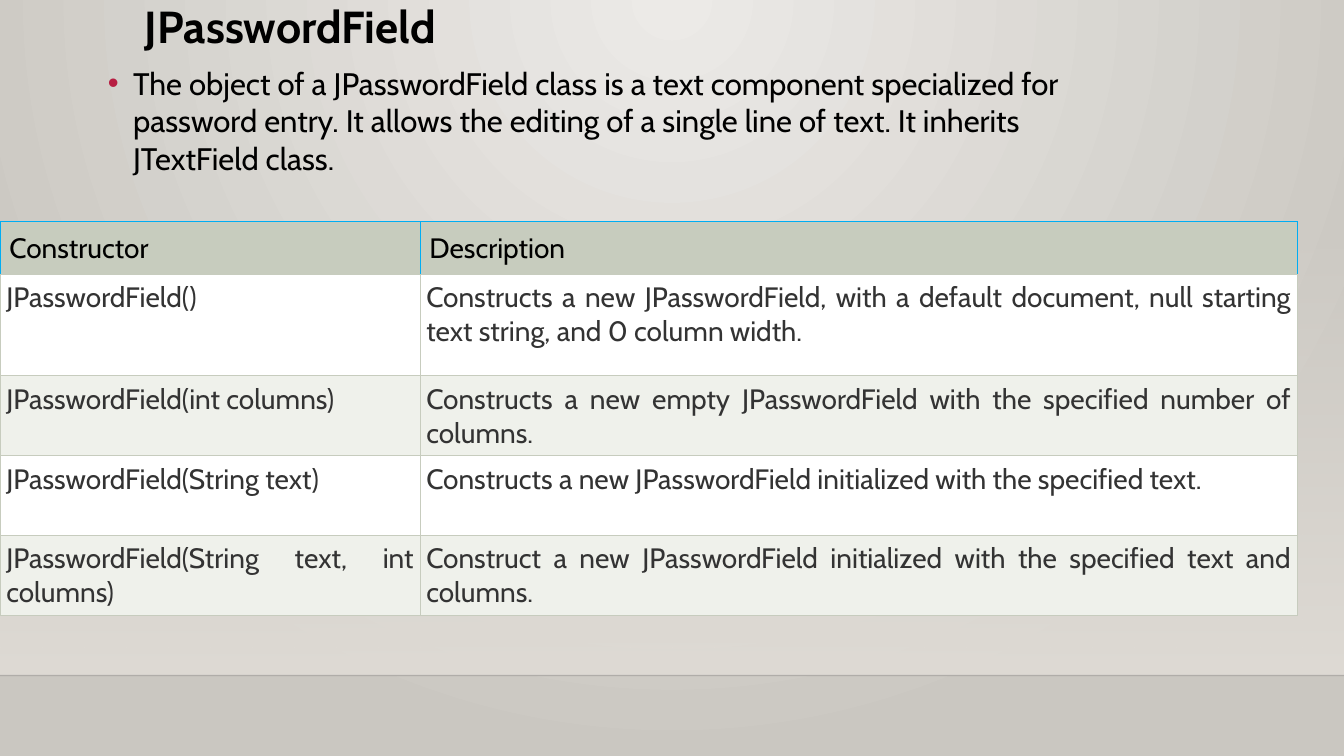
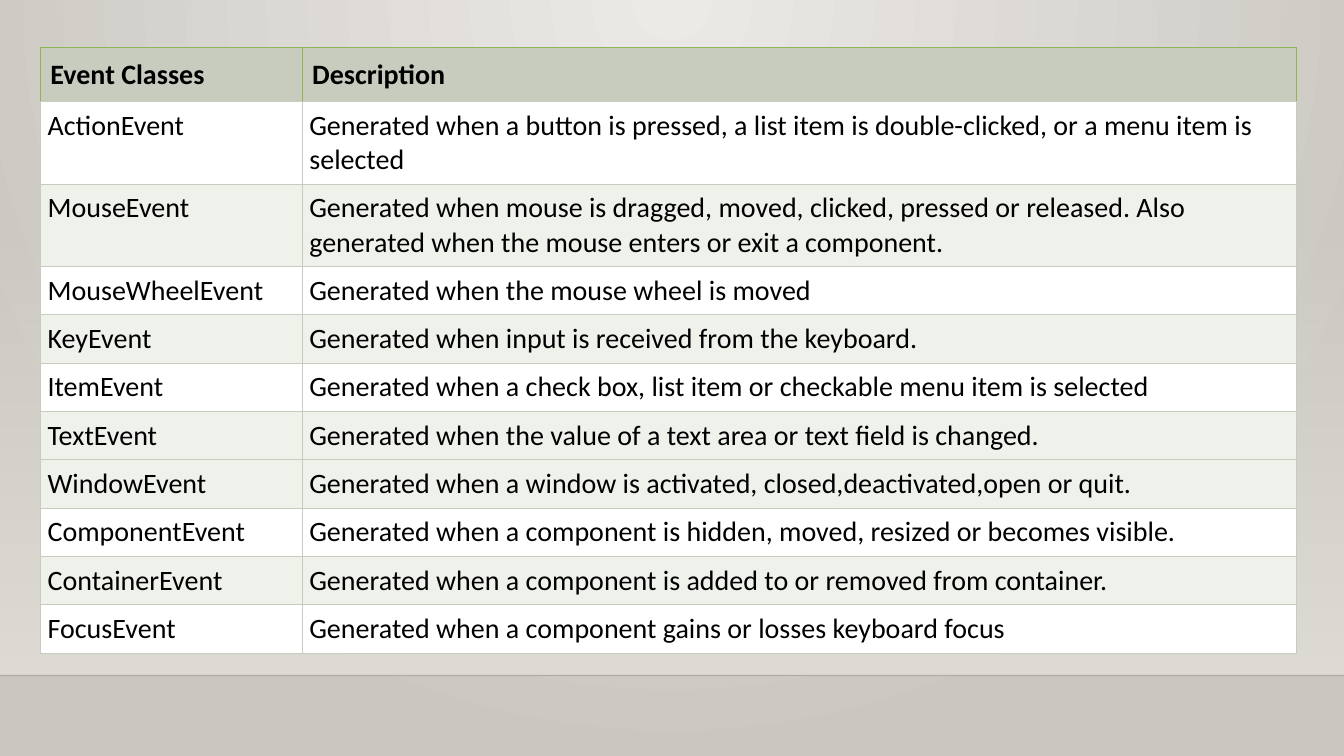
from dataclasses import dataclass

from lxml.etree import SubElement
from pptx import Presentation
from pptx.dml.color import RGBColor
from pptx.enum.shapes import MSO_CONNECTOR, MSO_SHAPE
from pptx.enum.text import PP_ALIGN
from pptx.oxml.ns import qn
from pptx.util import Pt


@dataclass(frozen=True)
class Theme:
    width: float = 960
    height: float = 540
    floor_top: float = 482.5
    glow: str = "ECEAE7"
    edge: str = "CAC7C1"
    wall: str = "DFDBD5"
    floor_line: str = "000001"
    accent: str = "B71E42"
    text: str = "000000"
    soft_text: str = "333333"
    header_fill: str = "C7CCBE"
    plain_fill: str = "FFFFFF"
    tint_fill: str = "EFF1EB"
    grid: str = "C7CCBE"
    heading_font: str = "Cabin"
    table_font: str = "Calibri"
    title_size: float = 32
    body_size: float = 22.2
    table_size: float = 20
    border: float = 0.75


@dataclass(frozen=True)
class TableLook:
    font: str
    color: str
    header_bold: bool
    header_border: str
    header_inset: float
    inset: float
    align: PP_ALIGN
    tinted_rows: tuple


THEME = Theme()

PASSWORD_LOOK = TableLook(THEME.heading_font, THEME.soft_text, False, "00ADF3",
                          6.75, 4.5, PP_ALIGN.JUSTIFY, (2, 4))
EVENT_LOOK = TableLook(THEME.table_font, THEME.text, True, "90B558",
                       7, 5, PP_ALIGN.LEFT, (2, 4, 6, 7, 9))

PASSWORD_INTRO = (
    "The object of a JPasswordField class is a text component specialized for password entry. "
    "It allows the editing of a single line of text. It inherits JTextField class."
)
PASSWORD_ROWS = [
    ("Constructor", "Description"),
    ("JPasswordField()",
     "Constructs a new JPasswordField, with a default document, null starting text string, "
     "and 0 column width."),
    ("JPasswordField(int columns)",
     "Constructs a new empty JPasswordField with the specified number of columns."),
    ("JPasswordField(String text)",
     "Constructs a new JPasswordField initialized with the specified text."),
    ("JPasswordField(String text, int columns)",
     "Construct a new JPasswordField initialized with the specified text and columns."),
]
EVENT_ROWS = [
    ("Event Classes", "Description"),
    ("ActionEvent",
     "Generated when a button is pressed, a list item is double-clicked, "
     "or a menu item is selected"),
    ("MouseEvent",
     "Generated when mouse is dragged, moved, clicked, pressed or released. "
     "Also generated when the mouse enters or exit a component."),
    ("MouseWheelEvent", "Generated when the mouse wheel is moved"),
    ("KeyEvent", "Generated when input is received from the keyboard."),
    ("ItemEvent", "Generated when a check box, list item or checkable menu item is selected"),
    ("TextEvent", "Generated when the value of a text area or text field is changed."),
    ("WindowEvent", "Generated when a window is activated, closed,deactivated,open or quit."),
    ("ComponentEvent", "Generated when a component is hidden, moved, resized or becomes visible."),
    ("ContainerEvent", "Generated when a component is added to or removed from container."),
    ("FocusEvent", "Generated when a component gains or losses keyboard focus"),
]


def rgb(color):
    return RGBColor.from_string(color)


def points(box):
    return [Pt(length) for length in box]


def set_alpha(color_element, percent):
    SubElement(color_element, qn("a:alpha")).set("val", str(percent * 1000))


def set_gradient(fill, *colors):
    fill.gradient()
    for stop, color in zip(fill.gradient_stops, colors):
        stop.color.rgb = rgb(color)


def write_text(text_frame, text, size, font, color=THEME.text, bold=False,
               align=PP_ALIGN.LEFT, line_spacing=1.0, space_before=0):
    text_frame.word_wrap = True
    paragraph = text_frame.paragraphs[0]
    paragraph.alignment = align
    paragraph.line_spacing = line_spacing
    paragraph.space_before = Pt(space_before)
    run = paragraph.add_run()
    run.text = text
    run.font.size = Pt(size)
    run.font.name = font
    run.font.bold = bold
    run.font.color.rgb = rgb(color)
    return paragraph


def add_bullet(paragraph, color, indent):
    properties = paragraph._p.get_or_add_pPr()
    properties.set("marL", str(Pt(indent)))
    properties.set("indent", str(-Pt(indent)))
    bullet_color = SubElement(properties, qn("a:buClr"))
    SubElement(bullet_color, qn("a:srgbClr")).set("val", color)
    SubElement(properties, qn("a:buFont")).set("typeface", "Arial")
    SubElement(properties, qn("a:buChar")).set("char", "•")


# Shared backdrop: radial glow on the master, wall and floor line on each slide
def set_background(master):
    set_gradient(master.background.fill, THEME.glow, THEME.edge)
    linear = master.element.cSld.find(".//" + qn("a:lin"))
    gradient = linear.getparent()
    gradient.remove(linear)
    radial = SubElement(gradient, qn("a:path"))
    radial.set("path", "circle")
    center = SubElement(radial, qn("a:fillToRect"))
    for side, value in (("l", 43000), ("t", 0), ("r", 43000), ("b", 100000)):
        center.set(side, str(value))


def add_backdrop(slide):
    wall_top = 159
    wall = slide.shapes.add_shape(
        MSO_SHAPE.RECTANGLE,
        *points((0, wall_top, THEME.width, THEME.floor_top - wall_top)))
    wall.shadow.inherit = False
    wall.line.fill.background()
    set_gradient(wall.fill, THEME.wall, THEME.wall)
    wall.fill.gradient_angle = 270
    set_alpha(wall.element.spPr.find(".//" + qn("a:srgbClr")), 0)

    floor_line = slide.shapes.add_connector(
        MSO_CONNECTOR.STRAIGHT,
        *points((0, THEME.floor_top, THEME.width, THEME.floor_top)))
    floor_line.line.color.rgb = rgb(THEME.floor_line)
    floor_line.line.width = Pt(1)
    properties = floor_line.element.spPr
    set_alpha(properties.find(".//" + qn("a:srgbClr")), 20)
    SubElement(properties, qn("a:effectLst"))


def add_slide(presentation):
    slide = presentation.slides.add_slide(presentation.slide_layouts[6])
    add_backdrop(slide)
    return slide


# Text regions
def add_title(slide, text, box):
    title = slide.shapes.add_textbox(*points(box))
    write_text(title.text_frame, text, THEME.title_size, THEME.heading_font,
               bold=True, line_spacing=0.9)


def add_body(slide, text, box):
    body = slide.shapes.add_textbox(*points(box))
    paragraph = write_text(body.text_frame, text, THEME.body_size, THEME.heading_font,
                           space_before=10)
    add_bullet(paragraph, THEME.accent, 18)


# Tables
def set_borders(cell, color, bottom):
    properties = cell._tc.get_or_add_tcPr()
    for side in "LRTB":
        line = SubElement(properties, qn("a:ln" + side), w=str(Pt(THEME.border)))
        solid = SubElement(line, qn("a:solidFill"))
        SubElement(solid, qn("a:srgbClr")).set("val", bottom if side == "B" else color)


def format_cell(cell, text, look, row):
    header = row == 0
    inset = Pt(look.header_inset if header else look.inset)
    cell.margin_left = cell.margin_right = cell.margin_top = cell.margin_bottom = inset
    set_borders(cell, look.header_border if header else THEME.grid, THEME.grid)
    body_fill = THEME.tint_fill if row in look.tinted_rows else THEME.plain_fill
    cell.fill.solid()
    cell.fill.fore_color.rgb = rgb(THEME.header_fill if header else body_fill)
    write_text(cell.text_frame, text, THEME.table_size, look.font,
               color=THEME.text if header else look.color,
               bold=header and look.header_bold,
               align=PP_ALIGN.LEFT if header else look.align)


def add_text_table(slide, rows, left, top, widths, heights, look):
    box = points((left, top, sum(widths), sum(heights)))
    table = slide.shapes.add_table(len(rows), len(widths), *box).table
    table.horz_banding = False
    for column, width in zip(table.columns, widths):
        column.width = Pt(width)
    for row, (texts, height) in enumerate(zip(rows, heights)):
        table.rows[row].height = Pt(height)
        for column, text in enumerate(texts):
            format_cell(table.cell(row, column), text, look, row)


# Slides
def build_password_slide(presentation):
    slide = add_slide(presentation)
    add_title(slide, "JPasswordField", (96.5, 0, 756, 50))
    add_body(slide, PASSWORD_INTRO, (70, 42.5, 756, 89))
    add_text_table(slide, PASSWORD_ROWS, 0, 158.5, (300, 627),
                   (30, 72.5, 57, 57, 57), PASSWORD_LOOK)


def build_event_slide(presentation):
    slide = add_slide(presentation)
    add_text_table(slide, EVENT_ROWS, 29, 34, (187, 710),
                   [36, 30, 34] + [30] * 8, EVENT_LOOK)


def main():
    presentation = Presentation()
    presentation.slide_width = Pt(THEME.width)
    presentation.slide_height = Pt(THEME.height)
    set_background(presentation.slide_master)
    build_password_slide(presentation)
    build_event_slide(presentation)
    presentation.save("out.pptx")


if __name__ == "__main__":
    main()
